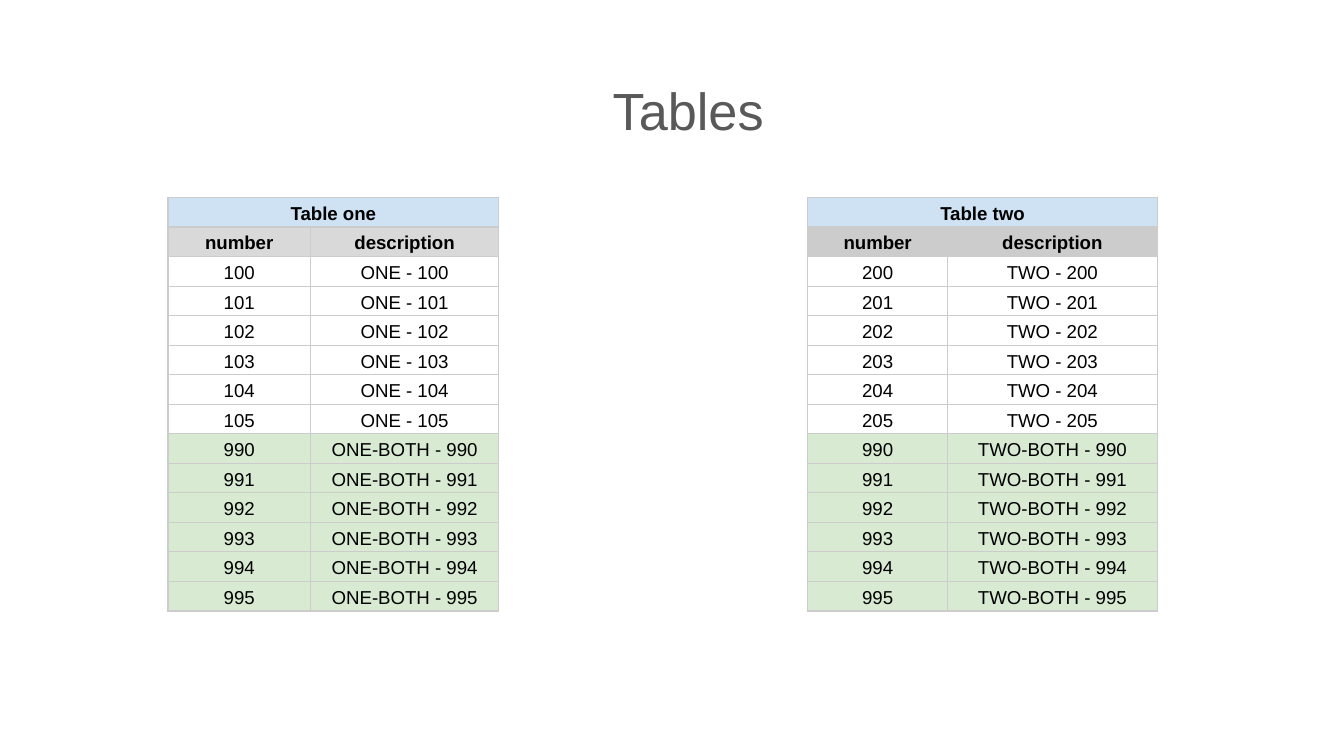
from lxml import etree
from pptx import Presentation
from pptx.dml.color import RGBColor
from pptx.enum.text import MSO_ANCHOR as Anchor, PP_ALIGN as Align
from pptx.oxml.ns import qn
from pptx.util import Inches, Pt

FONT = "Arial"
BLACK = RGBColor(0x00, 0x00, 0x00)
TITLE_GRAY = RGBColor(0x59, 0x59, 0x59)
BORDER_GRAY = RGBColor(0xCC, 0xCC, 0xCC)
LIGHT_GRAY = RGBColor(0xD9, 0xD9, 0xD9)
BLUE = RGBColor(0xCF, 0xE2, 0xF3)
GREEN = RGBColor(0xD9, 0xEA, 0xD3)

SLIDE_WIDTH = 10
ROW_HEIGHT = 0.22
TABLE_TOP = 1.47
ROWS_PER_GROUP = 6
SHARED_START = 990


def format_paragraph(paragraph, size, color, bold=False):
    paragraph.alignment = Align.CENTER
    for run in paragraph.runs:
        run.font.name = FONT
        run.font.size = Pt(size)
        run.font.bold = bold
        run.font.color.rgb = color


def add_title(slide, text):
    shape = slide.shapes.add_textbox(Inches(0.46), Inches(0.48), Inches(9.32), Inches(0.72))
    text_frame = shape.text_frame
    text_frame.word_wrap = True
    text_frame.vertical_anchor = Anchor.TOP
    text_frame.margin_left = text_frame.margin_right = Inches(0.1)
    text_frame.margin_top = text_frame.margin_bottom = Inches(0.1)
    text_frame.text = text
    format_paragraph(text_frame.paragraphs[0], 28, TITLE_GRAY)


def set_borders(cell):
    properties = cell._tc.get_or_add_tcPr()
    for side in ("a:lnL", "a:lnR", "a:lnT", "a:lnB"):
        line = etree.SubElement(properties, qn(side), w=str(Pt(0.75)))
        fill = etree.SubElement(line, qn("a:solidFill"))
        etree.SubElement(fill, qn("a:srgbClr"), val=str(BORDER_GRAY))


def format_cell(cell, fill_color):
    set_borders(cell)
    if fill_color is None:
        cell.fill.background()
    else:
        cell.fill.solid()
        cell.fill.fore_color.rgb = fill_color
    cell.margin_left = cell.margin_right = Inches(0.03)
    # The line spacing already leaves room above the text
    cell.margin_top = Inches(0)
    cell.margin_bottom = Inches(0.02)
    cell.vertical_anchor = Anchor.BOTTOM


def write_cell(cell, text, bold):
    cell.text = text
    paragraph = cell.text_frame.paragraphs[0]
    paragraph.line_spacing = 1.15
    format_paragraph(paragraph, 10, BLACK, bold)


def add_number_table(slide, left, widths, word, first_number, header_color):
    # Each row holds its texts, its fill and whether it is bold
    rows = [
        ((f"Table {word.lower()}",), BLUE, True),
        (("number", "description"), header_color, True),
    ]
    groups = ((first_number, word, None), (SHARED_START, f"{word}-BOTH", GREEN))
    for start, label, color in groups:
        for number in range(start, start + ROWS_PER_GROUP):
            rows.append(((str(number), f"{label} - {number}"), color, False))

    table = slide.shapes.add_table(
        len(rows), len(widths), Inches(left), Inches(TABLE_TOP),
        Inches(sum(widths)), Inches(ROW_HEIGHT * len(rows)),
    ).table
    for column, width in zip(table.columns, widths):
        column.width = Inches(width)
    table.cell(0, 0).merge(table.cell(0, 1))

    for row, (texts, color, bold) in zip(table.rows, rows):
        row.height = Inches(ROW_HEIGHT)
        for cell in row.cells:
            format_cell(cell, color)
        for cell, text in zip(row.cells, texts):
            write_cell(cell, text, bold)


def main():
    presentation = Presentation()
    presentation.slide_width = Inches(SLIDE_WIDTH)
    presentation.slide_height = Inches(SLIDE_WIDTH * 9 / 16)
    slide = presentation.slides.add_slide(presentation.slide_layouts[6])

    # Title
    add_title(slide, "Tables")

    # Tables with their own and their shared numbers
    add_number_table(slide, 1.25, (1.06, 1.4), "ONE", 100, LIGHT_GRAY)
    add_number_table(slide, 6.01, (1.04, 1.56), "TWO", 200, BORDER_GRAY)

    presentation.save("out.pptx")


if __name__ == "__main__":
    main()
